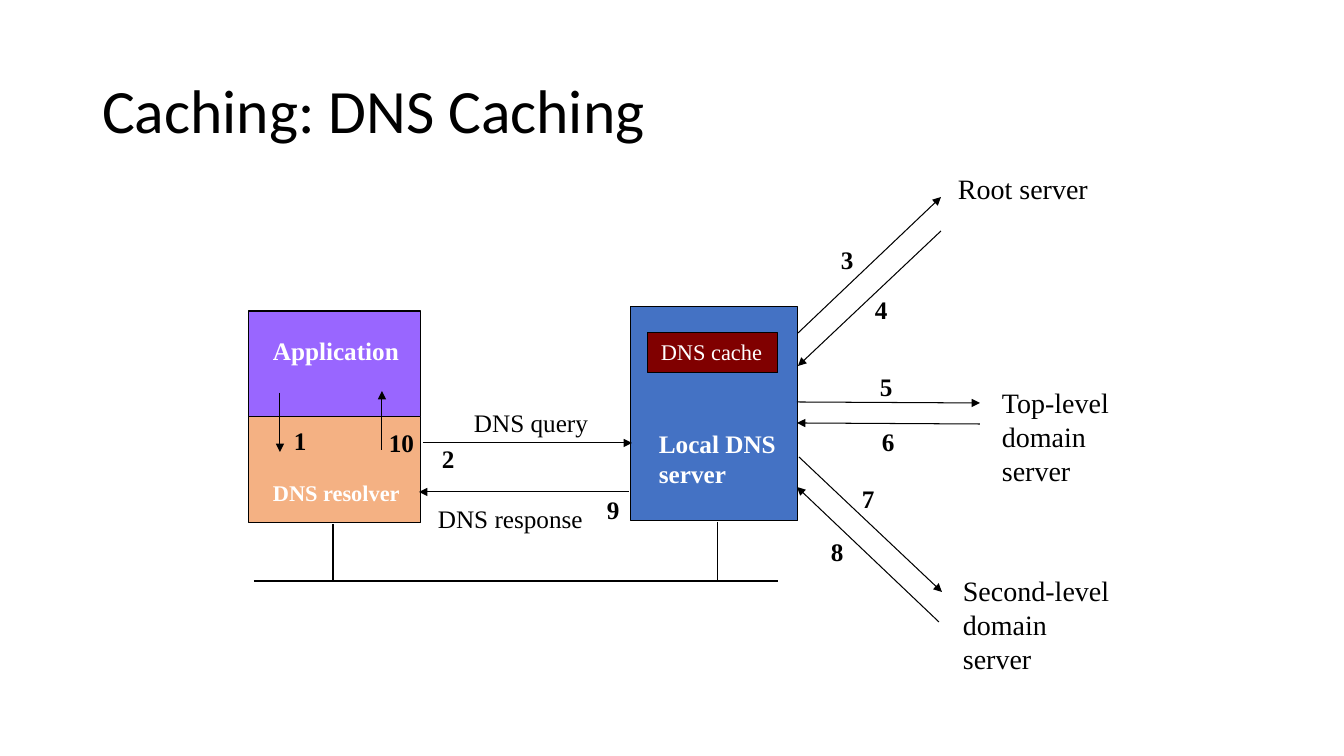
from pptx import Presentation
from pptx import util as u
from pptx.dml.color import RGBColor
from pptx.enum import shapes, text
from pptx.oxml import ns
from lxml import etree

SCALE = 914400 / 100.8
BLACK = RGBColor(0, 0, 0)
WHITE = RGBColor(255, 255, 255)
ORANGE = RGBColor(0xF4, 0xB1, 0x83)
PURPLE = RGBColor(0x99, 0x66, 0xFF)
BLUE = RGBColor(0x44, 0x72, 0xC4)
MAROON = RGBColor(0x80, 0, 0)
SERIF = "Times New Roman"

BOXES = [
    (249, 416, 172, 107, ORANGE),
    (249, 311, 172, 106, PURPLE),
    (631, 307, 167, 214, BLUE),
    (648, 333, 130, 40, MAROON),
]
NAMES = [
    ("Application", 263, 330, 165, 40, 18, WHITE, True, True),
    ("DNS resolver", 263, 474, 148, 37, 16, WHITE, True, False),
    ("Local DNS\nserver", 649, 423, 137, 71, 18, WHITE, True, False),
    ("DNS cache", 651, 333, 122, 37, 16, WHITE, False, False),
    ("DNS query", 464, 402, 134, 40, 18, BLACK, False, False),
    ("DNS response", 428, 498, 165, 40, 18, BLACK, False, False),
    ("Root server", 948, 167, 150, 43, 20, BLACK, False, False),
    ("Top-level\ndomain server", 992, 381, 172, 111, 20, BLACK, False, True),
    ("Second-level\ndomain server", 953, 569, 172, 111, 20, BLACK, False, True),
]
STEPS = [
    (284, 420), (432, 438), (831, 239), (865, 289), (870, 366),
    (872, 421), (852, 478), (821, 531), (597, 489), (379, 422),
]
ARROWS = [
    (280, 393, 280, 452), (382, 450, 382, 391),
    (423, 443, 632, 443), (629, 492, 419, 492),
    (798, 333, 941, 197), (941, 231, 798, 366),
    (797, 402, 980, 403), (980, 424, 797, 423),
    (799, 457, 942, 592), (939, 622, 797, 487),
]
WIRES = [(333, 524, 333, 580), (718, 522, 718, 581), (254, 581, 778, 581)]


def px(*nums):
    return [u.Emu(round(n * SCALE)) for n in nums]


def style(frame, font, size, color, bold=False):
    for para in frame.paragraphs:
        for run in para.runs:
            run.font.name = font
            run.font.size = u.Pt(size)
            run.font.color.rgb = color
            run.font.bold = bold


def title(slide, words):
    shape = slide.shapes.title
    shape.left, shape.top, shape.width, shape.height = px(92, 41, 1159, 146)
    frame = shape.text_frame
    frame.text = words
    frame.vertical_anchor = text.MSO_ANCHOR.MIDDLE
    para = frame.paragraphs[0]
    para.alignment = text.PP_ALIGN.LEFT
    para.line_spacing = 0.9
    style(frame, "Calibri", 44, BLACK)


def box(slide, x, y, w, h, fill):
    shape = slide.shapes.add_shape(shapes.MSO_SHAPE.RECTANGLE, *px(x, y, w, h))
    shape.shadow.inherit = False
    shape.fill.solid()
    shape.fill.fore_color.rgb = fill
    shape.line.color.rgb = BLACK
    shape.line.width = u.Pt(0.75)


def label(slide, words, x, y, w, h, size, color, bold, wrap):
    frame = slide.shapes.add_textbox(*px(x, y, w, h)).text_frame
    frame.text = words
    frame.word_wrap = wrap
    frame.auto_size = text.MSO_AUTO_SIZE.SHAPE_TO_FIT_TEXT
    style(frame, SERIF, size, color, bold)


def line(slide, ends, arrow=False):
    link = slide.shapes.add_connector(shapes.MSO_CONNECTOR.STRAIGHT, *px(*ends))
    link.line.color.rgb = BLACK
    link.line.width = u.Pt(0.75)
    if arrow:
        tail = etree.SubElement(link.line._get_or_add_ln(), ns.qn("a:tailEnd"))
        tail.set("type", "triangle")
    etree.SubElement(link._element.spPr, ns.qn("a:effectLst"))


def main():
    deck = Presentation()
    deck.slide_width, deck.slide_height = px(1344, 756)
    slide = deck.slides.add_slide(deck.slide_layouts[5])
    title(slide, "Caching: DNS Caching")
    for spot in BOXES:
        box(slide, *spot)
    for name in NAMES:
        label(slide, *name)
    for step, (x, y) in enumerate(STEPS, 1):
        wide = 34 if step < 10 else 48
        label(slide, str(step), x, y, wide, 40, 18, BLACK, True, False)
    for ends in ARROWS:
        line(slide, ends, True)
    for ends in WIRES:
        line(slide, ends)
    deck.save("out.pptx")


main()
